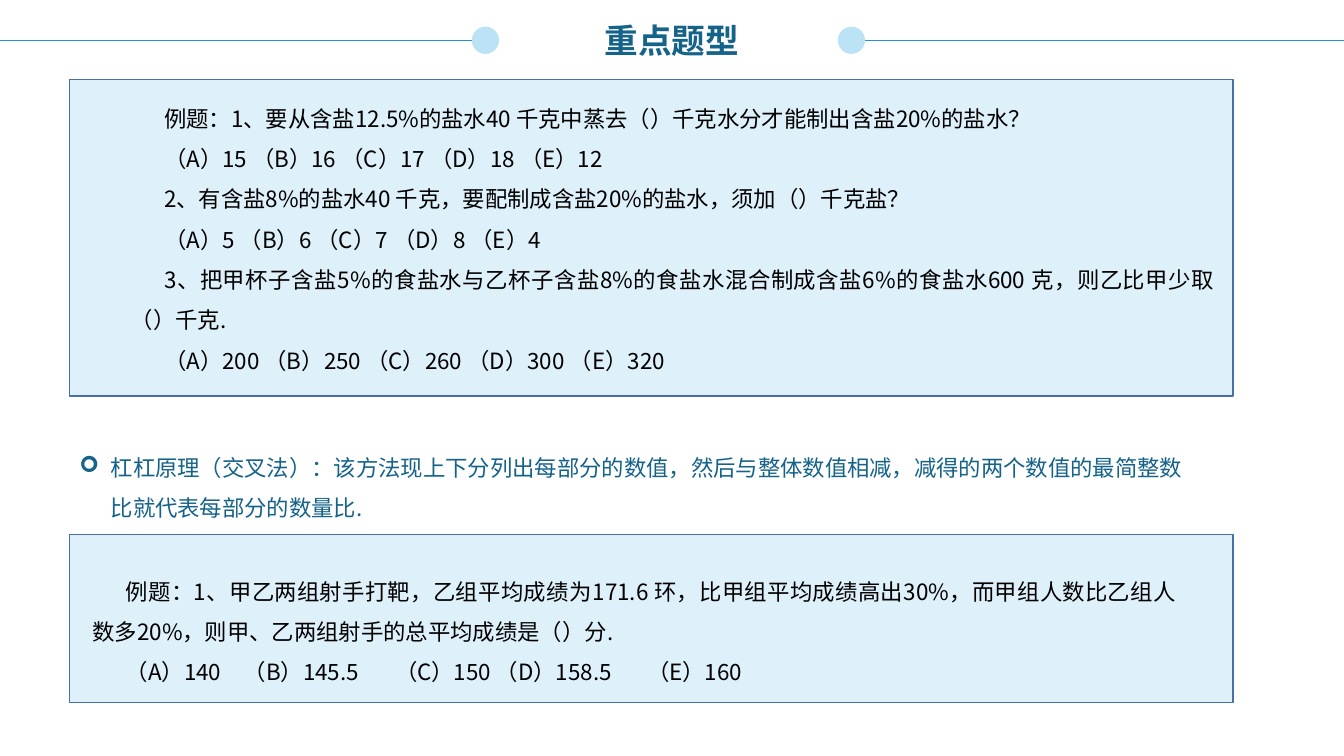
from dataclasses import dataclass

import pptx
import pptx.dml.color
import pptx.enum.shapes
import pptx.enum.text
import pptx.oxml.ns
import pptx.oxml.xmlchemy
import pptx.util
from lxml import etree
from pptx.util import Inches

COLOURS = {
    "panel": "DEF0FA",
    "panel_line": "476FAA",
    "rule": "2094CE",
    "dot": "BCE2F5",
    "heading": "156389",
    "body": "000000",
}
BODY_FONT = "Noto Sans CJK SC"
RULE_Y = 0.4
DOT_SIZE = 0.27
ALIGN = pptx.enum.text.PP_ALIGN
SHAPES = pptx.enum.shapes.MSO_SHAPE


@dataclass(frozen=True)
class Box:
    left: float
    top: float
    width: float
    height: float

    def lengths(self) -> tuple:
        return tuple(Inches(v) for v in (self.left, self.top, self.width, self.height))


@dataclass(frozen=True)
class HeaderSide:
    rule_start: float
    rule_end: float
    dot_left: float


@dataclass(frozen=True)
class TextBlock:
    box: Box
    paragraphs: tuple[str, ...]
    colour: str = "body"
    font: str = BODY_FONT
    size: float = 16
    bold: bool = False
    align: ALIGN | None = ALIGN.JUSTIFY
    line_spacing: float = 1.5
    margin: float = 0
    indent: float = 0.33
    bullet: str = ""
    tabs: tuple[float, ...] = ()


PANELS = (Box(0.69, 0.79, 11.54, 3.14), Box(0.69, 5.3, 11.54, 1.67))
HEADER_SIDES = (HeaderSide(0, 4.78, 4.68), HeaderSide(8.57, 13.33, 8.31))
TEXT_BLOCKS = (
    TextBlock(
        Box(5.23, 0.15, 2.87, 0.5), ("重点题型",), colour="heading", font="Arial",
        size=24, bold=True, align=ALIGN.CENTER, line_spacing=1, indent=0,
    ),
    TextBlock(
        Box(1.2, 0.86, 10.94, 2.87),
        (
            "例题：1、要从含盐12.5%的盐水40 千克中蒸去（）千克水分才能制出含盐20%的盐水？",
            "（A）15 （B）16 （C）17 （D）18 （E）12",
            "2、有含盐8%的盐水40 千克，要配制成含盐20%的盐水，须加（）千克盐？",
            "（A）5 （B）6 （C）7 （D）8 （E）4",
            "3、把甲杯子含盐5%的食盐水与乙杯子含盐8%的食盐水混合制成含盐6%的食盐水600 克，则乙比甲少取（）千克.",
            "（A）200 （B）250 （C）260 （D）300 （E）320",
        ),
    ),
    TextBlock(
        Box(0.69, 4.32, 11.2, 0.85),
        ("杠杠原理（交叉法）：该方法现上下分列出每部分的数值，然后与整体数值相减，减得的两个数值的最简整数比就代表每部分的数量比.",),
        colour="heading", align=None, margin=0.31, indent=-0.31, bullet="➢",
    ),
    TextBlock(
        Box(0.82, 5.55, 10.94, 1.25),
        (
            "例题：1、甲乙两组射手打靶，乙组平均成绩为171.6 环，比甲组平均成绩高出30%，而甲组人数比乙组人数多20%，则甲、乙两组射手的总平均成绩是（）分.",
            "（A）140\t（B）145.5\t（C）150\t（D）158.5\t（E）160",
        ),
        tabs=(1.73, 3.27, 4.65, 6.2),
    ),
)


def colour_of(name: str) -> pptx.dml.color.RGBColor:
    return pptx.dml.color.RGBColor.from_string(COLOURS[name])


def add_child(parent: etree._Element, tag: str, **attributes: str) -> etree._Element:
    return etree.SubElement(parent, pptx.oxml.ns.qn(tag), attributes)


def add_filled_shape(slide, kind: SHAPES, box: Box, fill: str, line: str = "") -> None:
    shape = slide.shapes.add_shape(kind, *box.lengths())
    shape.shadow.inherit = False
    shape.fill.solid()
    shape.fill.fore_color.rgb = colour_of(fill)
    if line:
        shape.line.color.rgb = colour_of(line)
        shape.line.width = pptx.util.Pt(1)
    else:
        shape.line.fill.background()


def add_header_side(slide, side: HeaderSide) -> None:
    """Draw one rule with the dot at its inner end."""
    rule = slide.shapes.add_connector(
        pptx.enum.shapes.MSO_CONNECTOR.STRAIGHT,
        Inches(side.rule_start), Inches(RULE_Y), Inches(side.rule_end), Inches(RULE_Y),
    )
    rule.line.color.rgb = colour_of("rule")
    rule.line.width = pptx.util.Pt(0.5)
    add_child(rule._element.spPr, "a:effectLst")
    dot = Box(side.dot_left, RULE_Y - DOT_SIZE / 2, DOT_SIZE, DOT_SIZE)
    add_filled_shape(slide, SHAPES.OVAL, dot, "dot")


def format_paragraph(paragraph, block: TextBlock) -> None:
    paragraph.alignment = block.align
    paragraph.line_spacing = block.line_spacing
    properties = paragraph._p.get_or_add_pPr()
    properties.set("marL", str(Inches(block.margin)))
    properties.set("indent", str(Inches(block.indent)))
    if block.bullet:
        add_child(properties, "a:buFont", typeface="Wingdings")
        add_child(properties, "a:buChar", char=block.bullet)
    if block.tabs:
        tab_list = add_child(properties, "a:tabLst")
        for position in block.tabs:
            add_child(tab_list, "a:tab", pos=str(Inches(position)), algn="l")
    font = paragraph.font
    font.size = pptx.util.Pt(block.size)
    font.bold = block.bold
    font.color.rgb = colour_of(block.colour)
    font.name = block.font
    defaults = properties.find(pptx.oxml.ns.qn("a:defRPr"))
    add_child(defaults, "a:ea", typeface=BODY_FONT)


def add_text_block(slide, block: TextBlock) -> None:
    frame = slide.shapes.add_textbox(*block.box.lengths()).text_frame
    frame.word_wrap = True
    frame.auto_size = pptx.enum.text.MSO_AUTO_SIZE.SHAPE_TO_FIT_TEXT
    for index, text in enumerate(block.paragraphs):
        paragraph = frame.add_paragraph() if index else frame.paragraphs[0]
        paragraph.add_run().text = text
        format_paragraph(paragraph, block)


def main() -> None:
    presentation = pptx.Presentation()
    presentation.slide_width = Inches(13.33)
    presentation.slide_height = Inches(7.5)
    slide = presentation.slides.add_slide(presentation.slide_layouts[6])
    for panel in PANELS:
        add_filled_shape(slide, SHAPES.RECTANGLE, panel, "panel", "panel_line")
    for side in HEADER_SIDES:
        add_header_side(slide, side)
    for block in TEXT_BLOCKS:
        add_text_block(slide, block)
    presentation.save("out.pptx")


if __name__ == "__main__":
    main()
